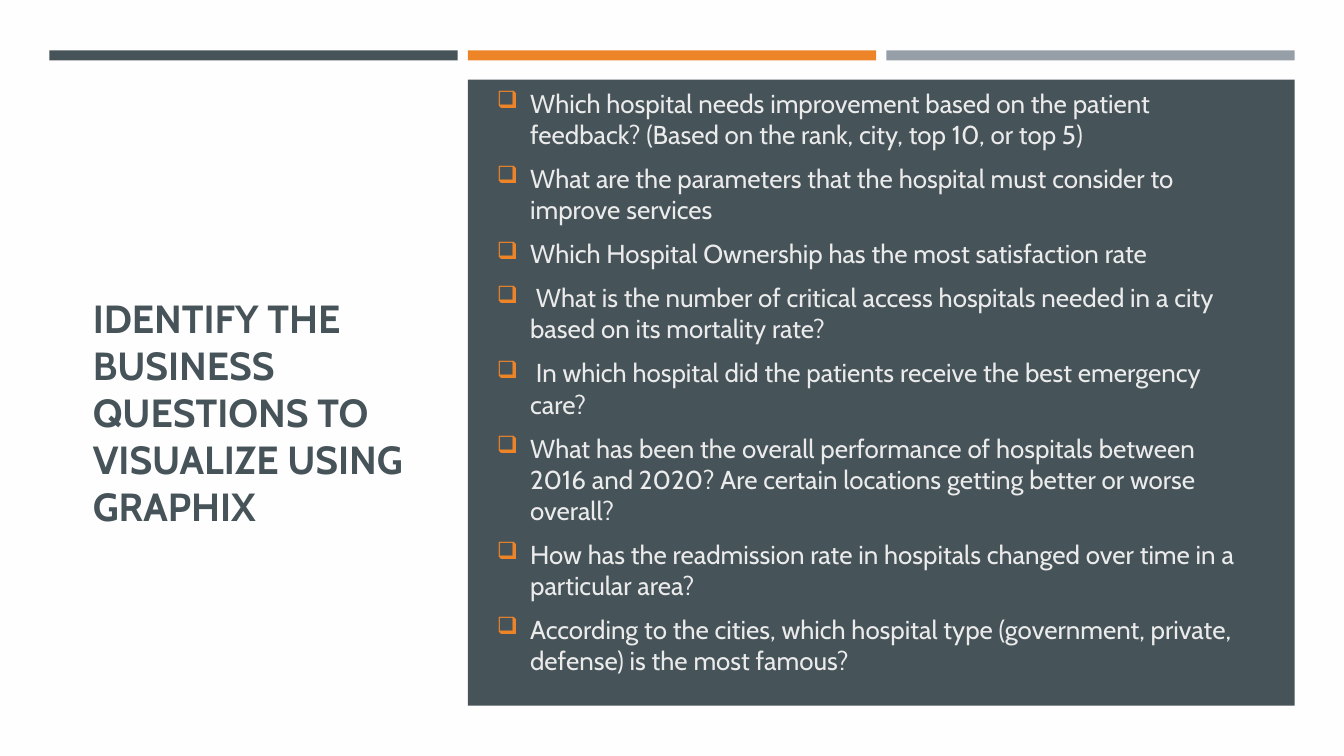
from lxml import etree
from pptx import Presentation, util as u
from pptx.dml.color import RGBColor
from pptx.enum import shapes, text
from pptx.oxml import ns

FONT = "Cabin"
SLATE, ORANGE, GREY = "465359", "ED8428", "969FA7"
PAPER, LIGHT = "FFFEFF", "EBEBEB"

QUESTIONS = [
    "Which hospital needs improvement based on the patient feedback? "
    "(Based on the rank, city, top 10, or top 5)",
    "What are the parameters that the hospital must consider to improve services",
    "Which Hospital Ownership has the most satisfaction rate",
    " What is the number of critical access hospitals needed in a city "
    "based on its mortality rate?",
    " In which hospital did the patients receive the best emergency care?",
    "What has been the overall performance of hospitals between 2016 and 2020? "
    "Are certain locations getting better or worse overall?",
    "How has the readmission rate in hospitals changed over time in a particular area?",
    "According to the cities, which hospital type (government, private, defense) "
    "is the most famous?",
]


def color(value):
    return RGBColor.from_string(value)


class SlideBuilder:
    def __init__(self, slide):
        self.slide = slide
        slide.background.fill.solid()
        slide.background.fill.fore_color.rgb = color(PAPER)

    def style(self, paragraph, size, fill, bold=False):
        for run in paragraph.runs:
            run.font.name = FONT
            run.font.size = u.Pt(size)
            run.font.bold = bold
            run.font.color.rgb = color(fill)

    def title(self, words, left, top, width, height):
        shape = self.slide.shapes.title
        shape.left, shape.top = u.Inches(left), u.Inches(top)
        shape.width, shape.height = u.Inches(width), u.Inches(height)
        frame = shape.text_frame
        frame.text = words
        frame.word_wrap = True
        frame.auto_size = text.MSO_AUTO_SIZE.NONE
        frame.vertical_anchor = text.MSO_ANCHOR.MIDDLE
        frame.paragraphs[0].alignment = text.PP_ALIGN.LEFT
        self.style(frame.paragraphs[0], 28, SLATE, bold=True)

    def block(self, left, top, width, height, fill):
        shape = self.slide.shapes.add_shape(
            shapes.MSO_SHAPE.RECTANGLE,
            u.Inches(left), u.Inches(top), u.Inches(width), u.Inches(height))
        shape.shadow.inherit = False
        shape.fill.solid()
        shape.fill.fore_color.rgb = color(fill)
        shape.line.fill.background()

    def bullet(self, paragraph):
        properties = paragraph._p.get_or_add_pPr()
        indent = u.Inches(0.33)
        properties.set("marL", str(indent))
        properties.set("indent", str(-indent))
        bullet_color = etree.SubElement(properties, ns.qn("a:buClr"))
        etree.SubElement(bullet_color, ns.qn("a:srgbClr"), val=ORANGE)
        etree.SubElement(properties, ns.qn("a:buSzPct"), val="92000")
        etree.SubElement(properties, ns.qn("a:buChar"), char="\u2751")

    def bullet_list(self, items, left, top, width, height):
        frame = self.slide.shapes.add_textbox(
            u.Inches(left), u.Inches(top), u.Inches(width), u.Inches(height)).text_frame
        frame.word_wrap = True
        frame.margin_top = frame.margin_bottom = 0
        frame.text = "\n".join(items)
        for index, paragraph in enumerate(frame.paragraphs):
            paragraph.space_before = u.Pt(3.2 if index else 0)
            paragraph.space_after = u.Pt(6)
            self.bullet(paragraph)
            self.style(paragraph, 18.5, LIGHT)


presentation = Presentation()
presentation.slide_width = u.Inches(13.33)
presentation.slide_height = u.Inches(7.5)
builder = SlideBuilder(presentation.slides.add_slide(presentation.slide_layouts[5]))

builder.title("IDENTIFY THE BUSINESS QUESTIONS TO VISUALIZE USING GRAPHIX",
              0.82, 1.17, 3.72, 5.83)
bar_width, bar_gap = 4.05, 0.1
for column, fill in enumerate([SLATE, ORANGE, GREY]):
    builder.block(0.49 + column * (bar_width + bar_gap), 0.5, bar_width, 0.1, fill)
builder.block(4.64, 0.79, 2 * bar_width + bar_gap, 6.21, SLATE)
builder.bullet_list(QUESTIONS, 4.83, 0.87, 7.53, 5.84)

presentation.save("out.pptx")
